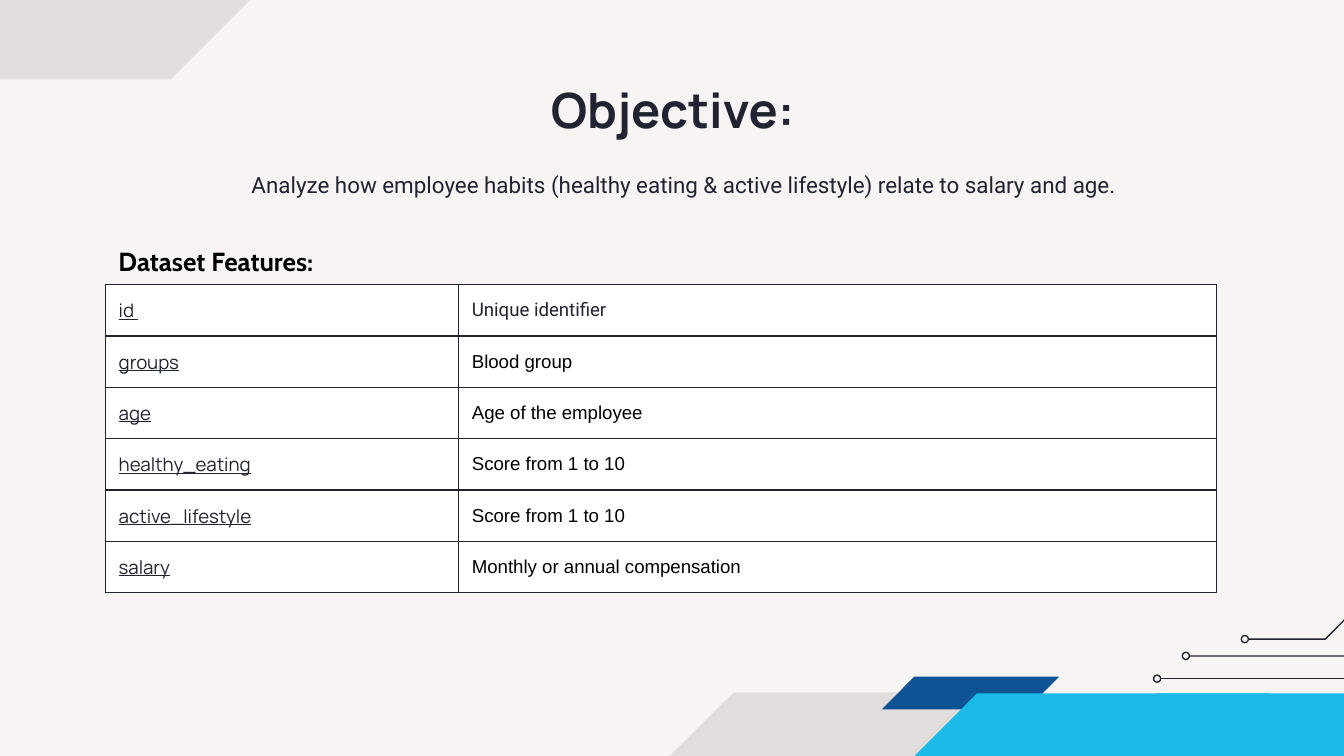
from lxml import etree
from pptx import Presentation
from pptx import util as u
from pptx.dml.color import RGBColor
from pptx.enum import shapes, text
from pptx.oxml.ns import qn

INK, WHITE, BLACK = "202331", "FFFFFF", "000000"
CYAN, NAVY, PAPER = "1BBBE9", "0B5394", "F8F4F4"
LINE_WIDTH = 0.75
CELL_INSET = 7.2


def colour(value):
    return RGBColor.from_string(value)


def paint(fill, value):
    fill.solid()
    fill.fore_color.rgb = colour(value)


class Painter:
    def __init__(self, page):
        self.page = page
        self.shapes = page.shapes
        paint(page.background.fill, PAPER)

    def stroke(self, line):
        paint(line.fill, INK)
        line.width = u.Pt(LINE_WIDTH)

    def outline(self, points, closed):
        points = [(u.Pt(x), u.Pt(y)) for x, y in points]
        builder = self.shapes.build_freeform(*points[0])
        builder.add_line_segments(points[1:], close=closed)
        shape = builder.convert_to_shape()
        shape.shadow.inherit = False
        return shape

    def panel(self, points, fill, opacity=None):
        shape = self.outline(points, True)
        paint(shape.fill, fill)
        shape.line.fill.background()
        if opacity:
            tint = shape._element.spPr.find(qn("a:solidFill"))[0]
            etree.SubElement(tint, qn("a:alpha")).set("val", str(opacity * 1000))

    def trace(self, points):
        shape = self.outline(points, False)
        shape.fill.background()
        self.stroke(shape.line)

    def rule(self, start, end, y):
        line = self.shapes.add_connector(
            shapes.MSO_CONNECTOR.STRAIGHT, u.Pt(start), u.Pt(y), u.Pt(end), u.Pt(y))
        self.stroke(line.line)
        etree.SubElement(line._element.spPr, qn("a:effectLst"))

    def node(self, right, middle, size=3.8):
        dot = self.shapes.add_shape(
            shapes.MSO_SHAPE.OVAL, u.Pt(right - size), u.Pt(middle - size / 2),
            u.Pt(size), u.Pt(size))
        dot.shadow.inherit = False
        dot.fill.background()
        self.stroke(dot.line)

    def add_span(self, para, words, font, size, ink=INK, bold=False, underline=False):
        span = para.add_run()
        span.text = words
        span.font.name = font
        span.font.size = u.Pt(size)
        span.font.bold = bold
        span.font.underline = underline
        span.font.color.rgb = colour(ink)

    def label(self, area, words, font, size, inset=7.2, indent=0,
              align=text.PP_ALIGN.CENTER, **style):
        box = self.shapes.add_textbox(*[u.Pt(value) for value in area])
        frame = box.text_frame
        frame.word_wrap = True
        frame.margin_top = frame.margin_bottom = u.Pt(inset)
        para = frame.paragraphs[0]
        para.alignment = align
        if indent:
            props = para._p.get_or_add_pPr()
            props.set("marL", str(u.Pt(indent)))
            props.set("indent", "0")
        self.add_span(para, words, font, size, **style)

    def border(self, cell):
        props = cell._tc.get_or_add_tcPr()
        for index, side in enumerate(("lnL", "lnR", "lnT", "lnB")):
            edge = etree.Element(qn("a:" + side), w=str(u.Pt(LINE_WIDTH)))
            fill = etree.SubElement(edge, qn("a:solidFill"))
            etree.SubElement(fill, qn("a:srgbClr"), val=INK)
            props.insert(index, edge)

    def table(self, left, top, widths, height, rows):
        frame = self.shapes.add_table(
            len(rows), len(widths), u.Pt(left), u.Pt(top),
            u.Pt(sum(widths)), u.Pt(height * len(rows)))
        grid = frame.table
        grid.first_row = grid.horz_banding = False
        for column, width in zip(grid.columns, widths):
            column.width = u.Pt(width)
        for row, (name, meaning, font, ink) in zip(grid.rows, rows):
            row.height = u.Pt(height)
            for cell in row.cells:
                paint(cell.fill, WHITE)
                self.border(cell)
                cell.vertical_anchor = text.MSO_ANCHOR.MIDDLE
                cell.margin_left = cell.margin_right = u.Pt(CELL_INSET)
                cell.margin_top = cell.margin_bottom = u.Pt(CELL_INSET)
            key, value = [cell.text_frame.paragraphs[0] for cell in row.cells]
            self.add_span(key, name, "Manrope", 10, underline=True)
            value.space_after = u.Pt(16)
            self.add_span(value, meaning, font, 10, ink)


def main():
    deck = Presentation()
    deck.slide_width, deck.slide_height = u.Pt(720), u.Pt(405)
    painter = Painter(deck.slides.add_slide(deck.slide_layouts[6]))

    painter.trace([(860.4, 335.5), (753, 335.5), (737.2, 351.4), (637.2, 351.4)])
    painter.trace([(856.8, 329.5), (722.8, 329.5), (710, 342.4), (668.8, 342.4)])
    painter.rule(621.6, 855.4, 363.6)
    for right, middle in [(637.2, 351.4), (668.8, 342.4), (621.8, 363.6)]:
        painter.node(right, middle)

    painter.panel([(525, 371), (525, 515.5), (247.7, 515.5), (393, 371)], BLACK, 9)
    painter.panel([(-41, 42.5), (-41, -102.2), (236.2, -102.2), (91.5, 42.5)], BLACK, 9)
    painter.panel([(567.4, 362.5), (550, 380), (472.5, 380), (489.8, 362.5)], NAVY)
    for left in (421.9, 325.4):
        steps = [(354.3, 371.5), (354.3, 535.7), (0, 535.7), (0, 479.5),
                 (17, 479.5), (89.5, 407.5), (162, 407.5), (198, 371.5)]
        painter.panel([(left + x, y) for x, y in steps], CYAN)

    painter.label((57, 35.5, 607, 45), "Objective:", "Manrope", 26, bold=True)
    painter.label(
        (57, 84.5, 607, 26.5),
        "Analyze how employee habits (healthy eating & active lifestyle) "
        "relate to salary and age.", "Roboto", 12, indent=12)
    painter.table(56.4, 152.5, (189.2, 406.2), 27.5, [
        ("id ", "Unique identifier", "Roboto", INK),
        ("groups", "Blood group", "Arial", BLACK),
        ("age", "Age of the employee", "Arial", BLACK),
        ("healthy_eating", "Score from 1 to 10", "Arial", BLACK),
        ("active_lifestyle", "Score from 1 to 10", "Arial", BLACK),
        ("salary", "Monthly or annual compensation", "Arial", BLACK),
    ])
    painter.label((56.4, 128, 313, 24.5), "Dataset Features:", "Cabin", 14, inset=3.6,
                  align=text.PP_ALIGN.LEFT, ink=BLACK, bold=True)
    deck.save("out.pptx")


if __name__ == "__main__":
    main()
